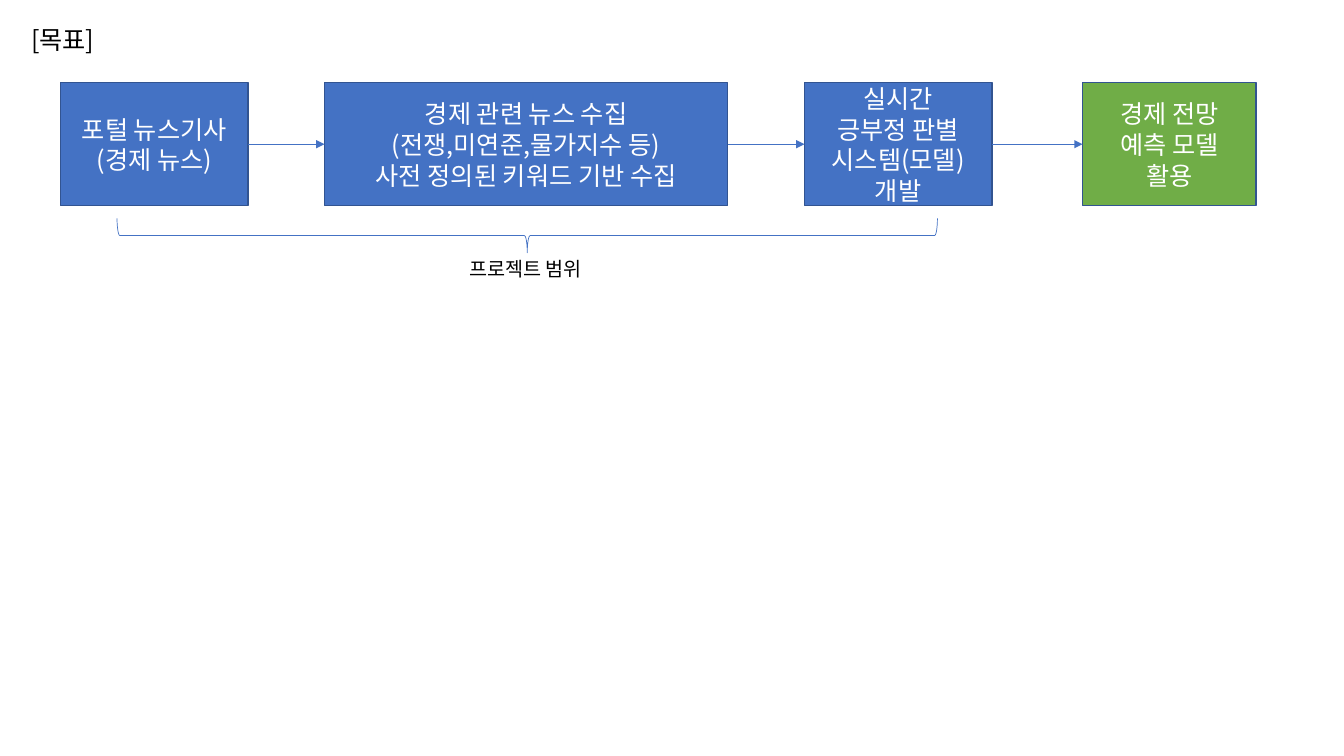
from itertools import pairwise

from lxml.etree import SubElement
from pptx import Presentation
from pptx.dml.color import RGBColor
from pptx.enum.shapes import MSO_CONNECTOR, MSO_SHAPE
from pptx.enum.text import MSO_ANCHOR, MSO_AUTO_SIZE, PP_ALIGN
from pptx.oxml.ns import qn
from pptx.util import Pt

FONT = "Noto Sans CJK KR"
BLUE = RGBColor(0x44, 0x72, 0xC4)
DARK_BLUE = RGBColor(0x32, 0x54, 0x91)
GREEN = RGBColor(0x70, 0xAD, 0x47)
WHITE = RGBColor(0xFF, 0xFF, 0xFF)
BLACK = RGBColor(0, 0, 0)

STEP_TOP, STEP_HEIGHT = 59, 88

# left, width, fill, lines of text
STEPS = [
    (43.2, 133.9, BLUE, "포털 뉴스기사\n(경제 뉴스)"),
    (231.8, 288, BLUE,
     "경제 관련 뉴스 수집\n(전쟁,미연준,물가지수 등)\n사전 정의된 키워드 기반 수집"),
    (574.6, 133.9, BLUE, "실시간\n긍부정 판별\n시스템(모델) 개발"),
    (773.3, 123.8, GREEN, "경제 전망\n예측 모델\n활용"),
]


def write(shape, text, size=18, color=BLACK, align=PP_ALIGN.CENTER,
          anchor=MSO_ANCHOR.TOP, auto_size=MSO_AUTO_SIZE.NONE):
    frame = shape.text_frame
    frame.text = text
    frame.word_wrap = True
    frame.auto_size = auto_size
    frame.vertical_anchor = anchor
    for paragraph in frame.paragraphs:
        paragraph.alignment = align
        paragraph.line_spacing = Pt(round(size * 1.22))
        for run in paragraph.runs:
            run.font.name = FONT
            run.font.size = Pt(size)
            run.font.color.rgb = color
            # Hangul takes its typeface from the East Asian font
            SubElement(run.font._element, qn("a:ea"), typeface=FONT)


def add_title(slide, text):
    title = slide.shapes.title
    title.left, title.top, title.width, title.height = Pt(15), Pt(13), Pt(235), Pt(29)
    write(title, text, align=PP_ALIGN.LEFT, auto_size=MSO_AUTO_SIZE.SHAPE_TO_FIT_TEXT)


def add_step(slide, left, width, fill, text):
    step = slide.shapes.add_shape(
        MSO_SHAPE.RECTANGLE, Pt(left), Pt(STEP_TOP), Pt(width), Pt(STEP_HEIGHT))
    step.shadow.inherit = False
    step.fill.solid()
    step.fill.fore_color.rgb = fill
    step.line.color.rgb = DARK_BLUE
    step.line.width = Pt(1)
    write(step, text, color=WHITE, anchor=MSO_ANCHOR.MIDDLE)


def add_arrow(slide, start, end):
    middle = Pt(STEP_TOP + STEP_HEIGHT / 2)
    arrow = slide.shapes.add_connector(
        MSO_CONNECTOR.STRAIGHT, Pt(start), middle, Pt(end), middle)
    arrow.line.color.rgb = BLUE
    arrow.line.width = Pt(0.5)
    SubElement(arrow.line._get_or_add_ln(), qn("a:tailEnd"), type="triangle")
    SubElement(arrow._element.spPr, qn("a:effectLst"))


def add_scope_brace(slide, center_x, center_y, span, depth):
    # An upright brace turned a quarter around its centre
    brace = slide.shapes.add_shape(
        MSO_SHAPE.RIGHT_BRACE, Pt(center_x - depth / 2), Pt(center_y - span / 2),
        Pt(depth), Pt(span))
    brace.rotation = 90
    brace.shadow.inherit = False
    brace.fill.background()
    brace.line.color.rgb = BLUE
    brace.line.width = Pt(0.5)


def add_label(slide, text, left, top, width, height):
    label = slide.shapes.add_textbox(Pt(left), Pt(top), Pt(width), Pt(height))
    write(label, text, size=14, auto_size=MSO_AUTO_SIZE.SHAPE_TO_FIT_TEXT)


def main():
    deck = Presentation()
    deck.slide_width, deck.slide_height = Pt(960), Pt(540)
    slide = deck.slides.add_slide(deck.slide_layouts[5])

    add_title(slide, "[목표]")

    # Process steps and the arrows across their gaps
    for step in STEPS:
        add_step(slide, *step)
    for (left, width, *_), (next_left, *_) in pairwise(STEPS):
        add_arrow(slide, left + width, next_left)

    # Project scope
    add_scope_brace(slide, center_x=376.6, center_y=168.3, span=586, depth=24.5)
    add_label(slide, "프로젝트 범위", 274.5, 180, 202, 24.5)

    deck.save("out.pptx")


main()
